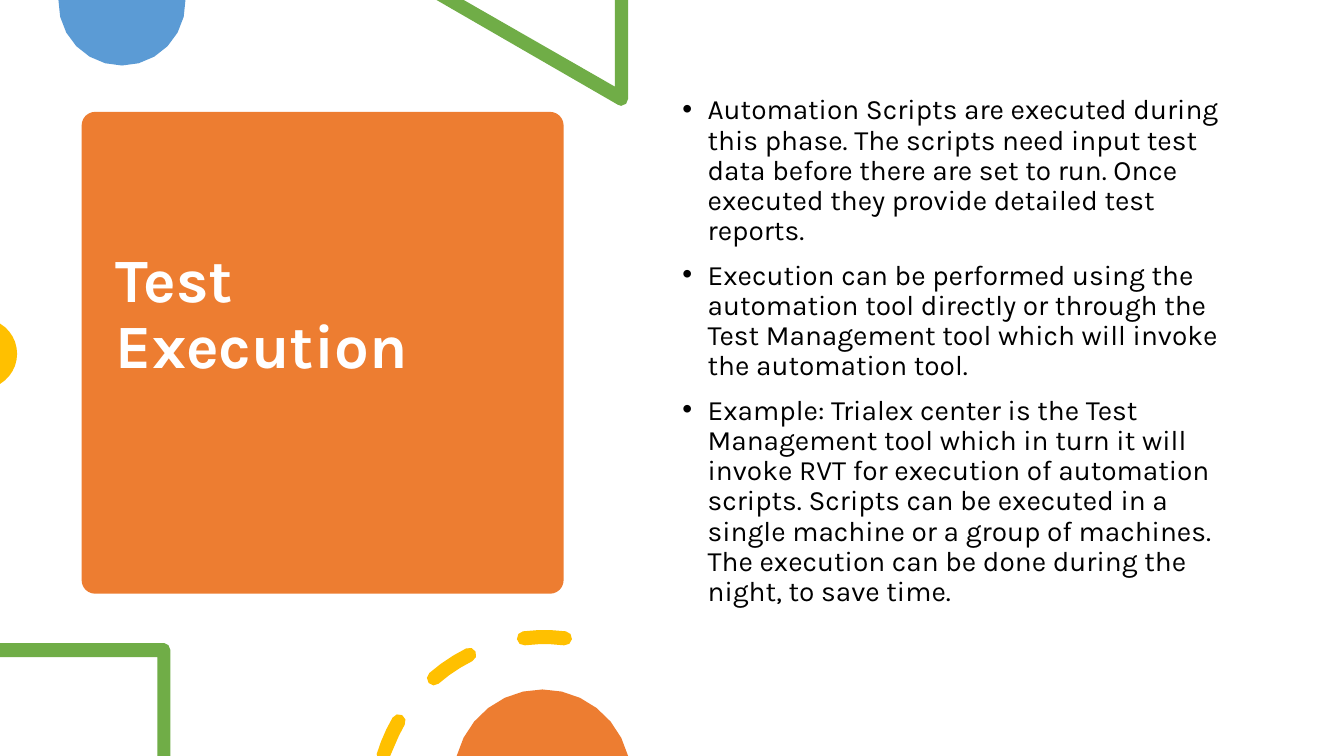
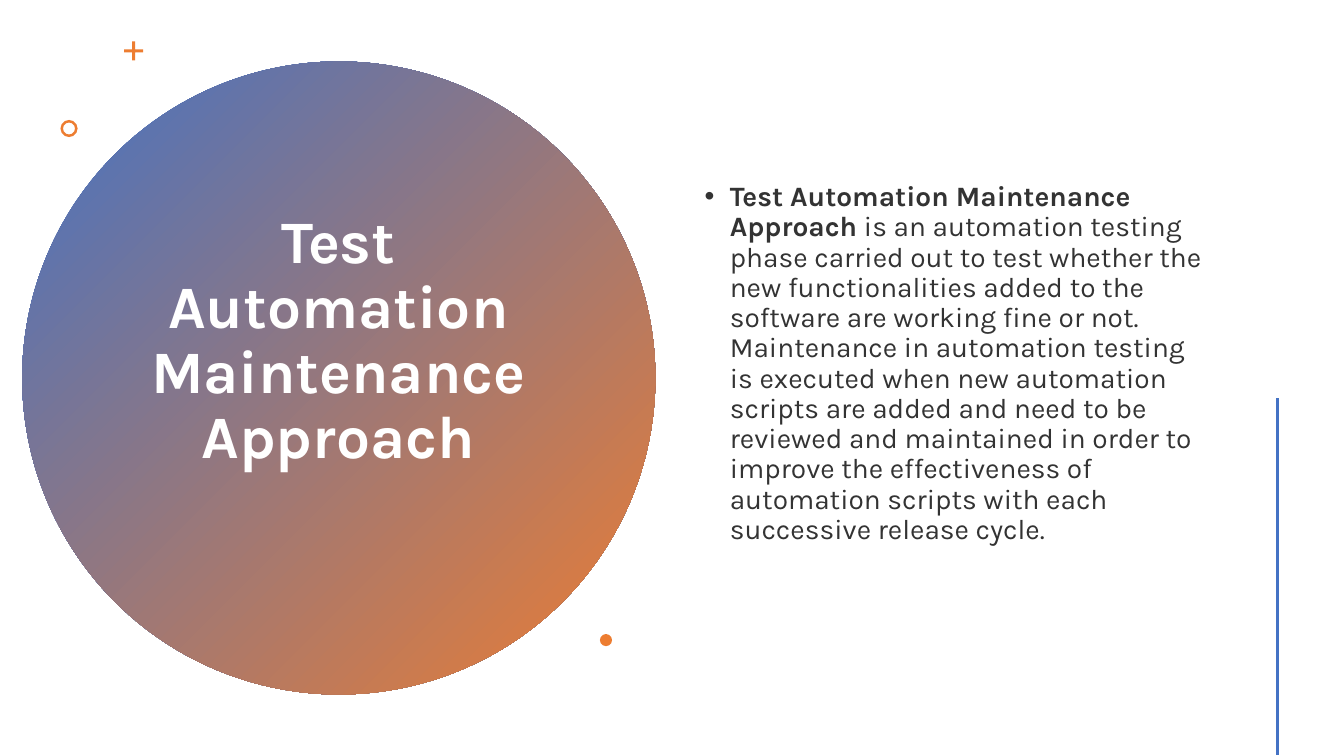
from collections import namedtuple
from math import acos, cos, pi, radians, sin

from lxml.etree import SubElement
from pptx import Presentation
from pptx.dml.color import RGBColor
from pptx.enum.shapes import MSO_CONNECTOR, MSO_SHAPE
from pptx.enum.text import MSO_ANCHOR, MSO_AUTO_SIZE, PP_ALIGN
from pptx.oxml.ns import qn
from pptx.util import Inches, Pt

COLORS = {
    "orange": "ED7D31", "blue": "4472C4", "sky": "5B9BD5", "green": "70AD47",
    "yellow": "FFC000", "white": "FFFFFF", "black": "000000", "dark": "333333",
}
FONT = "Karla"
TITLE_ONLY = 5

Box = namedtuple("Box", "left top width height")
PAGE = Box(0, 0, 13.33, 7.5)


def color(name):
    return RGBColor.from_string(COLORS[name])


def lengths(box):
    return [Inches(value) for value in box]


# Shapes
def finish(shape, fill):
    shape.shadow.inherit = False
    shape.fill.solid()
    shape.fill.fore_color.rgb = color(fill)
    shape.line.fill.background()
    return shape


def add_preset(page, kind, box, fill, adjustment=None):
    shape = page.shapes.add_shape(kind, *lengths(box))
    if adjustment is not None:
        shape.adjustments[0] = adjustment
    return finish(shape, fill)


def add_outline(page, contours, fill):
    """One shape made of one or more closed contours."""
    builder = None
    for points in contours:
        corners = [(Inches(x), Inches(y)) for x, y in points]
        if builder is None:
            builder = page.shapes.build_freeform(*corners[0], scale=1.0)
        else:
            builder.move_to(*corners[0])
        builder.add_line_segments(corners[1:], close=True)
    return finish(builder.convert_to_shape(), fill)


def arc(center, radius, start, end, steps):
    """Points on a circle; angles in radians, clockwise from the right."""
    angles = [start + (end - start) * step / steps for step in range(steps + 1)]
    return [(center[0] + radius * cos(angle), center[1] + radius * sin(angle))
            for angle in angles]


def add_circle_cap(page, chord_middle, half_chord, depth, facing, fill):
    """Part of a circle that rises by depth from a chord on the page edge."""
    radius = (half_chord ** 2 + depth ** 2) / (2 * depth)
    spread = acos((radius - depth) / radius)
    facing = radians(facing)
    center = (chord_middle[0] + (depth - radius) * cos(facing),
              chord_middle[1] + (depth - radius) * sin(facing))
    points = arc(center, radius, facing - spread, facing + spread, 12)
    add_outline(page, [points], fill)


def ring_dash(center, radius, start, end, thickness, bottom):
    """Round-ended piece of a ring, cut off at the bottom edge."""
    start, end = radians(start), radians(end)
    half = thickness / 2
    first, last = (arc(center, radius, angle, angle, 1)[0] for angle in (start, end))
    points = (arc(center, radius + half, start, end, 3)
              + arc(last, half, end, end + pi, 4)[1:-1]
              + arc(center, radius - half, end, start, 3)
              + arc(first, half, start + pi, start + 2 * pi, 4)[1:-1])
    return [(x, min(y, bottom)) for x, y in points]


# Text
def format_paragraph(para, size, fill, align=PP_ALIGN.LEFT):
    para.alignment = align
    para.line_spacing = 0.9
    para.space_before = Pt(0)
    for span in para.runs:
        span.font.name = FONT
        span.font.size = Pt(size)
        span.font.color.rgb = color(fill)


def place_title(page, box, text, size, align):
    title = page.shapes.title
    title.left, title.top, title.width, title.height = lengths(box)
    frame = title.text_frame
    frame.text = text
    frame.word_wrap = True
    frame.auto_size = MSO_AUTO_SIZE.NONE
    frame.vertical_anchor = MSO_ANCHOR.MIDDLE
    format_paragraph(frame.paragraphs[0], size, "white", align)
    frame.paragraphs[0].runs[0].font.bold = True
    # Bring the title in front of its panel
    title.element.getparent().append(title.element)


def add_bullets(page, box, items, fill, anchor):
    """Each item is a list of (text, bold) spans."""
    frame = page.shapes.add_textbox(*lengths(box)).text_frame
    frame.word_wrap = True
    frame.vertical_anchor = anchor
    for index, item in enumerate(items):
        para = frame.add_paragraph() if index else frame.paragraphs[0]
        for text, bold in item:
            span = para.add_run()
            span.text = text
            span.font.bold = bold
        format_paragraph(para, 20, fill)
        if index:
            para.space_before = Pt(10)
        properties = para._p.get_or_add_pPr()
        properties.set("marL", str(Inches(0.25)))
        properties.set("indent", str(-Inches(0.25)))
        SubElement(properties, qn("a:buFont")).set("typeface", "Arial")
        SubElement(properties, qn("a:buChar")).set("char", "•")


# Decorations
def add_top_art(page, box):
    left, top = box.left, box.top
    add_circle_cap(page, (left + 1.21, top), 0.63, 0.65, 90, "sky")
    triangle = [(6.23, 0), (6.1, 0), (6.1, 0.86), (4.6, 0), (4.33, 0),
                (6.13, 1.04), (6.16, 1.05), (6.21, 1.03), (6.23, 0.98)]
    add_outline(page, [[(left + x, top + y) for x, y in triangle]], "green")
    add_circle_cap(page, (left, top + 3.51), 0.3, 0.17, 0, "yellow")


def add_bottom_art(page, box):
    left, bottom = box.left, box.top + box.height
    # Frame corner, measured up from the bottom edge
    corner = [(0, 1.12), (1.63, 1.12), (1.67, 1.1), (1.69, 1.05), (1.69, 0),
              (1.56, 0), (1.56, 0.98), (0, 0.98)]
    add_outline(page, [[(left + x, bottom - y) for x, y in corner]], "green")
    # Dashed ring
    center = (left + 5.4, bottom + 0.49)
    dashes = [ring_dash(center, 1.67, start, end, 0.14, bottom)
              for start, end in ((-163, -150), (-131, -116.5), (-97, -83))]
    add_outline(page, dashes, "yellow")
    add_circle_cap(page, (left + 5.38, bottom), 0.85, 0.66, -90, "orange")


def add_circle_accents(page, box):
    left, top = box.left, box.top
    add_preset(page, MSO_SHAPE.CROSS,
               Box(left + 1.01, top - 0.2, 0.19, 0.19), "orange", 0.42)
    add_preset(page, MSO_SHAPE.DONUT,
               Box(left + 0.38, top + 0.58, 0.17, 0.17), "orange", 0.15)
    add_preset(page, MSO_SHAPE.OVAL,
               Box(left + 5.73, top + 5.68, 0.12, 0.12), "orange")


def add_side_line(page, box):
    x, bottom = box.left + 12.67, box.top + box.height
    line = page.shapes.add_connector(
        MSO_CONNECTOR.STRAIGHT,
        Inches(x), Inches(bottom - 3.55), Inches(x), Inches(bottom - 0.01))
    line.line.color.rgb = color("blue")
    line.line.width = Pt(2)
    SubElement(line.element.spPr, qn("a:effectLst"))


# Title panels
def add_card_title(page, box, text):
    add_preset(page, MSO_SHAPE.ROUNDED_RECTANGLE, box, "orange", 0.028)
    place_title(page, Box(box.left + 0.24, box.top + 0.11, 4.31, 3.82),
                text, 44, PP_ALIGN.LEFT)


def add_circle_title(page, box, text):
    circle = add_preset(page, MSO_SHAPE.OVAL, box, "blue")
    circle.fill.gradient()
    circle.fill.gradient_angle = 315
    for stop, name, position in zip(circle.fill.gradient_stops,
                                    ("blue", "orange"), (0, 1)):
        stop.color.rgb = color(name)
        stop.position = position
    place_title(page, Box(box.left + 1.14, box.top + 0.8, 3.99, 3.96),
                text, 43, PP_ALIGN.CENTER)


# Slides
def build_execution(page, box):
    add_card_title(page, Box(box.left + 0.81, box.top + 1.11, 4.78, 4.78),
                   "Test Execution")
    add_top_art(page, box)
    texts = [
        "Automation Scripts are executed during this phase. The scripts need "
        "input test data before there are set to run. Once executed they "
        "provide detailed test reports.",
        "Execution can be performed using the automation tool directly or "
        "through the Test Management tool which will invoke the automation "
        "tool.",
        "Example: Trialex center is the Test Management tool which in turn it "
        "will invoke RVT for execution of automation scripts. Scripts can be "
        "executed in a single machine or a group of machines. The execution "
        "can be done during the night, to save time.",
    ]
    add_bullets(page, Box(box.left + 6.67, box.top + 0.9, 5.75, 5.35),
                [[(text, False)] for text in texts], "black", MSO_ANCHOR.TOP)
    add_bottom_art(page, box)


def build_maintenance(page, box):
    circle = Box(box.left + 0.22, box.top + 0.61, 6.28, 6.28)
    add_circle_title(page, circle, "Test Automation Maintenance Approach")
    add_circle_accents(page, circle)
    definition = [
        ("Test Automation Maintenance Approach", True),
        (" is an automation testing phase carried out to test whether the new "
         "functionalities added to the software are working fine or not. "
         "Maintenance in automation testing is executed when new automation "
         "scripts are added and need to be reviewed and maintained in order to "
         "improve the effectiveness of automation scripts with each successive "
         "release cycle.", False),
    ]
    add_bullets(page, Box(box.left + 6.89, box.top + 0.57, 5.22, 6.08),
                [definition], "dark", MSO_ANCHOR.MIDDLE)
    add_side_line(page, box)


def main():
    deck = Presentation()
    deck.slide_width, deck.slide_height = Inches(PAGE.width), Inches(PAGE.height)
    for build in (build_execution, build_maintenance):
        build(deck.slides.add_slide(deck.slide_layouts[TITLE_ONLY]), PAGE)
    deck.save("out.pptx")


if __name__ == "__main__":
    main()
